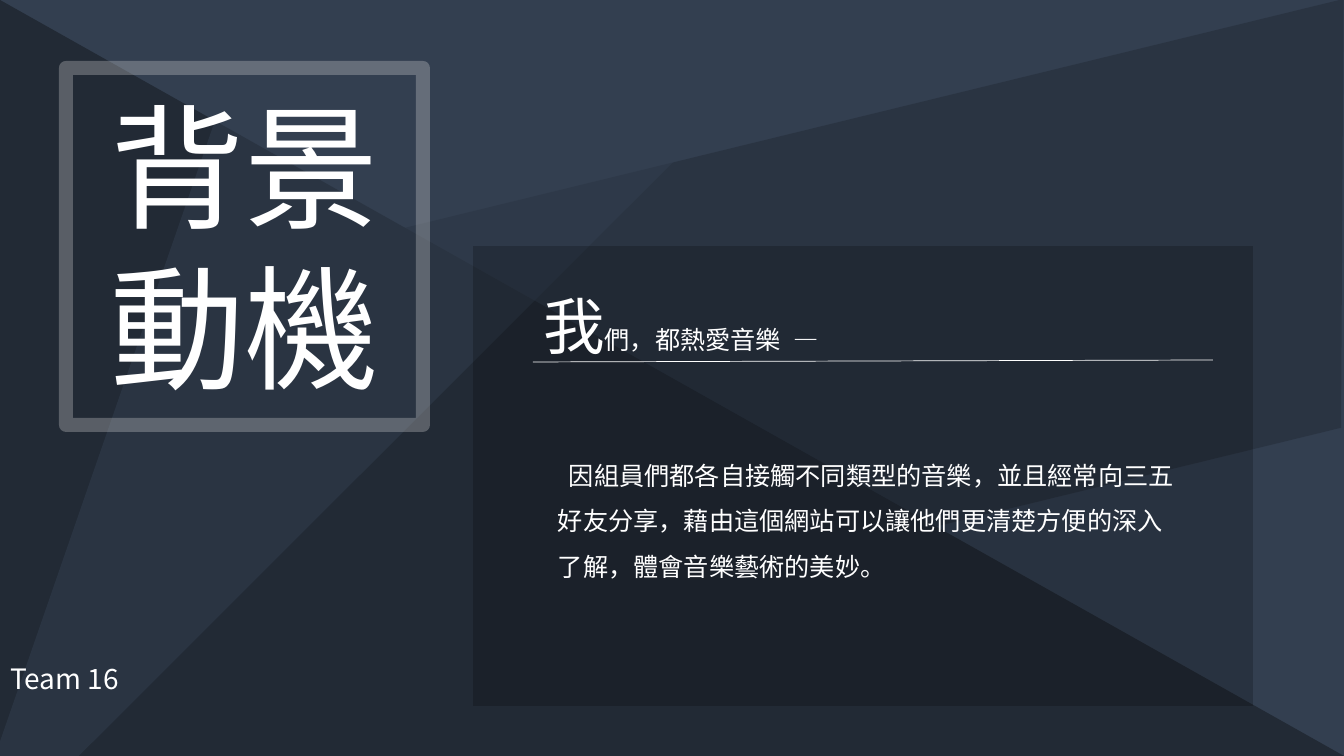
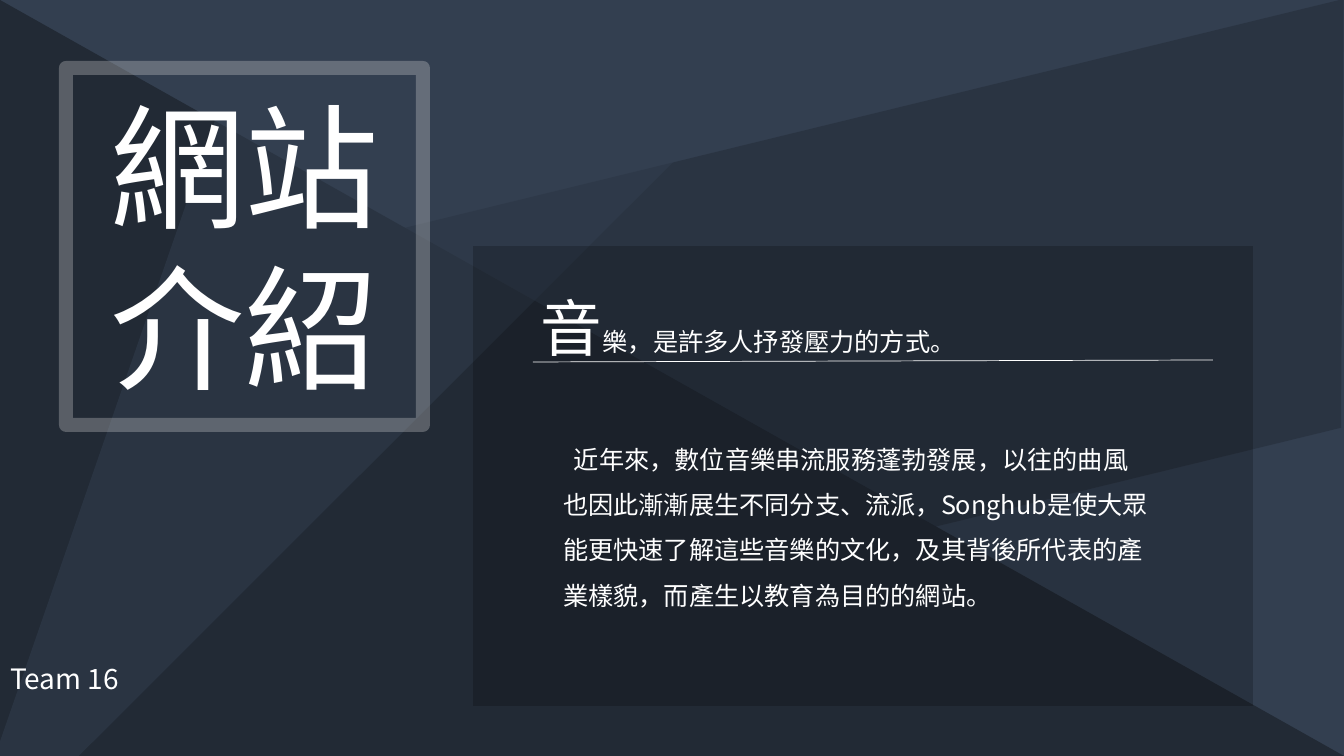
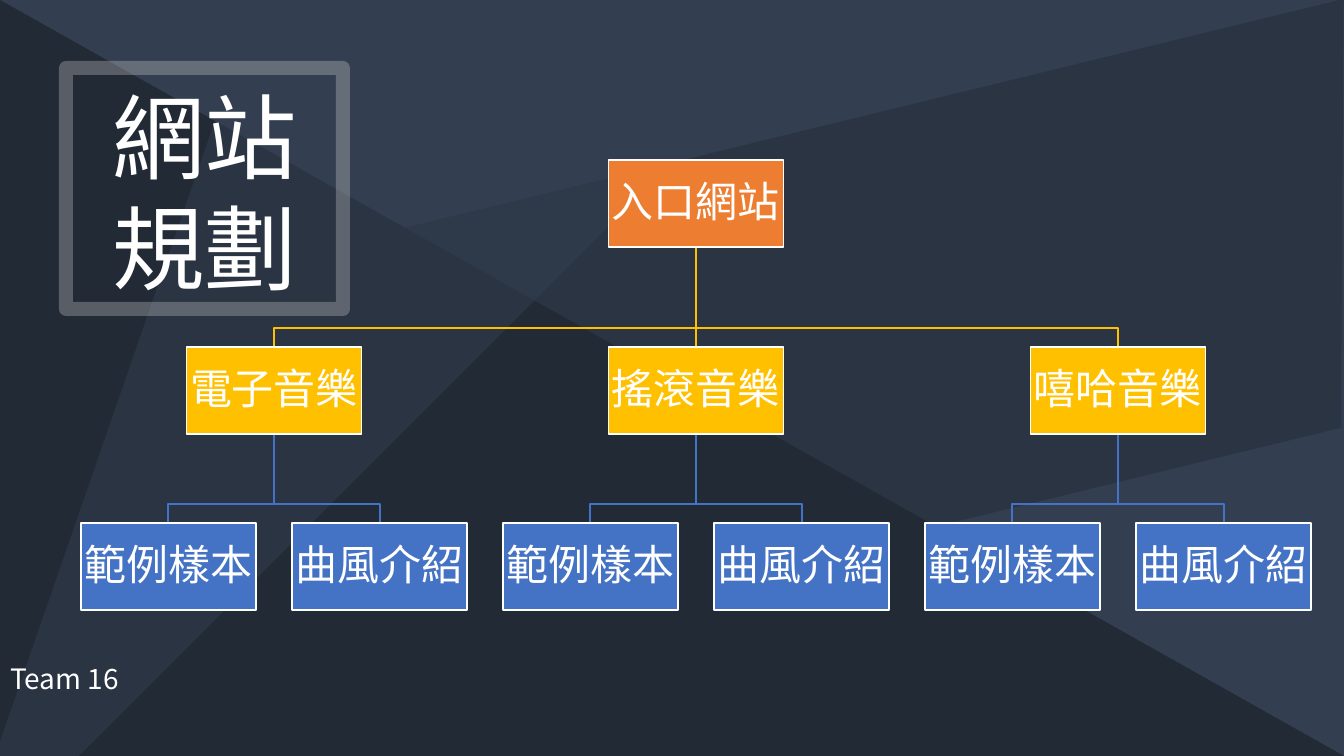
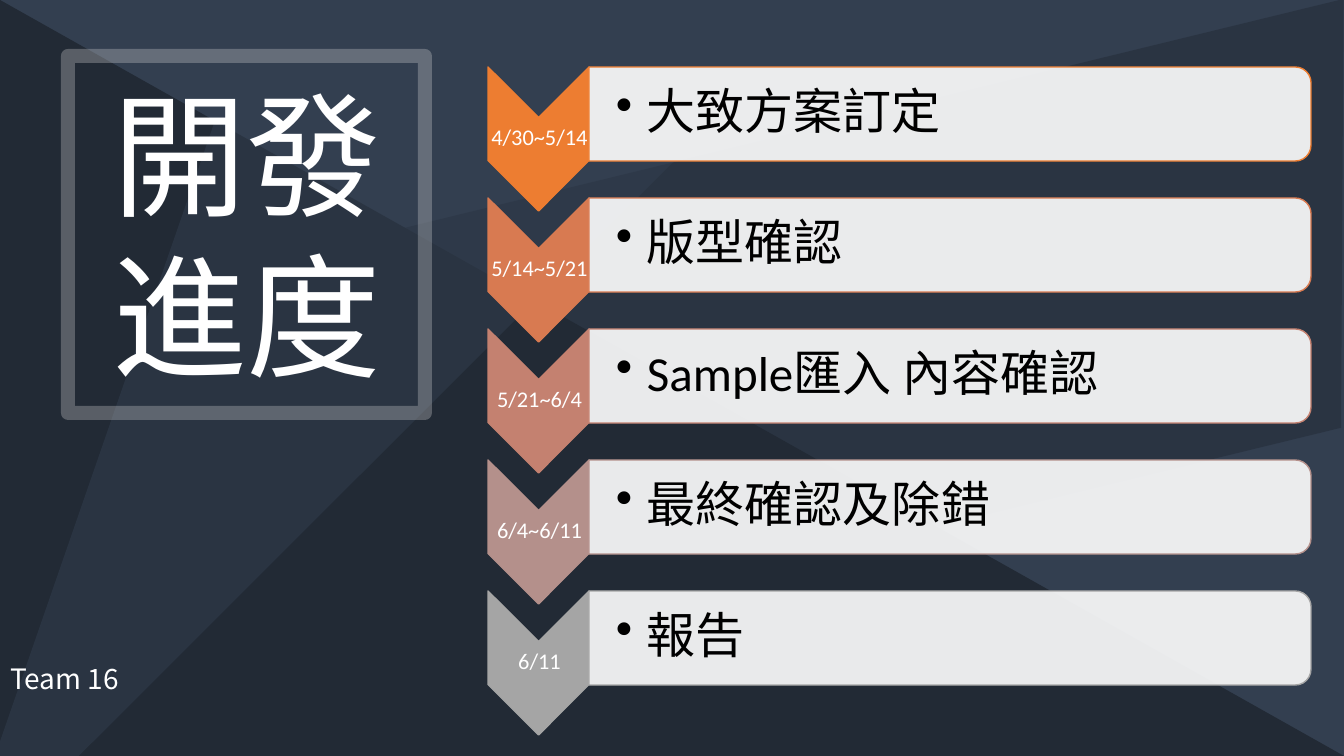
from collections import namedtuple

from lxml import etree
from pptx import Presentation
from pptx.dml.color import RGBColor
from pptx.enum.shapes import MSO_CONNECTOR, MSO_SHAPE
from pptx.enum.text import MSO_ANCHOR, PP_ALIGN
from pptx.oxml.ns import qn
from pptx.util import Emu, Pt

PIXEL = 914400 / 100.8
WIDTH, HEIGHT = 1344, 756

RECTANGLE = MSO_SHAPE.RECTANGLE
TRIANGLE = MSO_SHAPE.ISOSCELES_TRIANGLE
PARALLELOGRAM = MSO_SHAPE.PARALLELOGRAM
CHEVRON = MSO_SHAPE.CHEVRON
ROUNDED_END = MSO_SHAPE.ROUND_2_SAME_RECTANGLE
STRAIGHT = MSO_CONNECTOR.STRAIGHT
TOP, MIDDLE = MSO_ANCHOR.TOP, MSO_ANCHOR.MIDDLE
LEFT, CENTER = PP_ALIGN.LEFT, PP_ALIGN.CENTER

LATIN_FONT = "Calibri"
CHINESE_FONT = "Noto Sans CJK SC"

SLATE = RGBColor(0x33, 0x3F, 0x50)
NAVY = RGBColor(0x22, 0x2A, 0x35)
BLACK = RGBColor(0, 0, 0)
WHITE = RGBColor(0xFF, 0xFF, 0xFF)
SILVER = RGBColor(0xD9, 0xD9, 0xD9)
ORANGE = RGBColor(0xED, 0x7D, 0x31)
GOLD = RGBColor(0xFF, 0xC0, 0x00)
BLUE = RGBColor(0x44, 0x72, 0xC4)
COPPER = RGBColor(0xD8, 0x7A, 0x51)
ROSE = RGBColor(0xC4, 0x81, 0x70)
MAUVE = RGBColor(0xB4, 0x90, 0x8B)
GRAY = RGBColor(0xA5, 0xA5, 0xA5)

Box = namedtuple("Box", "left top width height")

LARGE_FRAME = Box(66, 68, 357, 357)
SMALL_FRAME = Box(66, 68, 277, 241)
SCHEDULE_FRAME = Box(68, 56, 357, 357)
PANEL = Box(473, 246, 780, 460)
SITE_MAP = Box(81, 160, 1230, 450)
SCHEDULE = Box(488, 67, 823, 668)
FOOTER = Box(0, 646, WIDTH, 50)

STEPS = [
    ("4/30~5/14", "大致方案訂定", ORANGE),
    ("5/14~5/21", "版型確認", COPPER),
    ("5/21~6/4", "Sample匯入 內容確認", ROSE),
    ("6/4~6/11", "最終確認及除錯", MAUVE),
    ("6/11", "報告", GRAY),
]


def px(length):
    return Emu(round(length * PIXEL))


def set_opacity(shape, percent):
    for color in shape.element.spPr.iter(qn("a:srgbClr")):
        etree.SubElement(color, qn("a:alpha"), val=str(percent * 1000))


def add_block(slide, kind, box, fill=None, opacity=100, line=None, line_width=1):
    shape = slide.shapes.add_shape(kind, *map(px, box))
    shape.shadow.inherit = False
    if fill is None:
        shape.fill.background()
    else:
        shape.fill.solid()
        shape.fill.fore_color.rgb = fill
    if opacity < 100:
        set_opacity(shape, opacity)
    if line is None:
        shape.line.fill.background()
    else:
        shape.line.color.rgb = line
        shape.line.width = Pt(line_width)
    return shape


def add_quarter_turn(slide, kind, box, **paint):
    center_x = box.left + box.width / 2
    center_y = box.top + box.height / 2
    unturned = Box(center_x - box.height / 2, center_y - box.width / 2, box.height, box.width)
    shape = add_block(slide, kind, unturned, **paint)
    shape.rotation = 90
    return shape


def add_line(slide, start, end, color, width):
    connector = slide.shapes.add_connector(STRAIGHT, *map(px, start + end))
    connector.line.color.rgb = color
    connector.line.width = Pt(width)
    etree.SubElement(connector.element.spPr, qn("a:effectLst"))


def format_run(run, size, color=WHITE, latin=LATIN_FONT):
    run.font.size = Pt(size)
    run.font.color.rgb = color
    run.font.name = latin
    east_asian = etree.Element(qn("a:ea"), typeface=CHINESE_FONT)
    run.font._element.find(qn("a:latin")).addnext(east_asian)


def write(shape, text, size, color=WHITE, latin=LATIN_FONT, align=LEFT, anchor=TOP,
          margins=(10, 5, 10, 5), spacing=1.0, wrap=True):
    frame = shape.text_frame
    frame.word_wrap = wrap
    frame.vertical_anchor = anchor
    frame.margin_left, frame.margin_top, frame.margin_right, frame.margin_bottom = map(px, margins)
    paragraph = frame.paragraphs[0]
    paragraph.text = text
    paragraph.alignment = align
    paragraph.line_spacing = spacing
    for run in paragraph.runs:
        format_run(run, size, color, latin)
    return paragraph


def add_text(slide, box, text, size, **style):
    return write(slide.shapes.add_textbox(*map(px, box)), text, size, **style)


def add_backdrop(slide, layout):
    facets = [
        (TRIANGLE, Box(0, 0, WIDTH, HEIGHT), NAVY, 100, 0, 0),
        (PARALLELOGRAM, Box(-72, 169, 1486, 416), NAVY, 50, 0.25, 346.3),
        (TRIANGLE, Box(119, -117, 545, 1121), SLATE, 50, 1, 199.1),
    ]
    for kind, box, color, opacity, adjustment, rotation in facets:
        facet = add_block(slide, kind, box, color, opacity)
        facet.adjustments[0] = adjustment
        facet.rotation = rotation
        layout.shapes.element.append(facet.element)


def add_footer(slide, box):
    add_text(slide, box, "Team 16", 20, latin=CHINESE_FONT, spacing=1.3)


def add_title(slide, box, text, size=96, top_margin=16):
    frame = add_block(slide, RECTANGLE, box, line=SILVER, line_width=10)
    set_opacity(frame, 30)
    write(frame, text, size, align=CENTER, margins=(10, top_margin, 10, 5))


def add_article(slide, box, initial, heading, heading_offset, body, body_box):
    add_block(slide, RECTANGLE, box, BLACK, 20)
    add_line(slide, (box.left + 60, box.top + 116), (box.left + 740, box.top + 114), WHITE, 0.5)

    heading_left, heading_top = heading_offset
    heading_box = Box(box.left + heading_left, box.top + heading_top, 665, 85)
    paragraph = add_text(slide, heading_box, initial, 44, latin=CHINESE_FONT)
    run = paragraph.add_run()
    run.text = heading
    format_run(run, 18, latin=CHINESE_FONT)

    placed_body = body_box._replace(left=box.left + body_box.left, top=box.top + body_box.top)
    paragraph = add_text(slide, placed_body, body, 18, latin=CHINESE_FONT, spacing=1.5)
    paragraph._p.get_or_add_pPr().set("indent", str(px(11)))


def add_branch(slide, parent, child, color):
    start_x = parent.left + parent.width / 2
    start_y = parent.top + parent.height
    end_x = child.left + child.width / 2
    bend_y = child.top - 19
    if start_x == end_x:
        add_line(slide, (start_x, start_y), (end_x, child.top), color, 1)
        return
    builder = slide.shapes.build_freeform(start_x, start_y, scale=PIXEL)
    builder.add_line_segments([(start_x, bend_y), (end_x, bend_y), (end_x, child.top)], close=False)
    branch = builder.convert_to_shape()
    branch.shadow.inherit = False
    branch.fill.background()
    branch.line.color.rgb = color
    branch.line.width = Pt(1)


def add_site_map(slide, box):
    node_width, node_height = 175, 87
    step = (box.width - node_width) / 5
    genre_names = ["電子音樂", "搖滾音樂", "嘻哈音樂"]
    page_names = ["範例樣本", "曲風介紹"]

    def node_box(column, top):
        return Box(box.left + column * step, box.top + top, node_width, node_height)

    root = node_box(2.5, 0)
    nodes = [(root, "入口網站", ORANGE)]
    for genre_index, genre_name in enumerate(genre_names):
        genre = node_box(2 * genre_index + 0.5, 187)
        nodes.append((genre, genre_name, GOLD))
        add_branch(slide, root, genre, GOLD)
        for page_index, page_name in enumerate(page_names):
            page = node_box(2 * genre_index + page_index, box.height - node_height)
            nodes.append((page, page_name, BLUE))
            add_branch(slide, genre, page, BLUE)

    for node, name, color in nodes:
        shape = add_block(slide, RECTANGLE, node, color, line=WHITE)
        write(shape, name, 30, align=CENTER, anchor=MIDDLE, margins=(2, 2, 2, 2),
              spacing=0.9, wrap=False)


def add_bullet(paragraph, indent):
    properties = paragraph._p.get_or_add_pPr()
    properties.set("marL", str(px(indent)))
    properties.set("indent", str(-px(indent)))
    etree.SubElement(properties, qn("a:buChar"), char="•")


def add_schedule(slide, box):
    arrow_width, arrow_height, card_height = 101, 144, 94
    pitch = (box.height - arrow_height) / (len(STEPS) - 1)
    card_left = box.left + arrow_width
    card_width = box.width - arrow_width
    for index, (dates, task, color) in enumerate(STEPS):
        top = box.top + index * pitch
        arrow = Box(box.left, top, arrow_width, arrow_height)
        add_quarter_turn(slide, CHEVRON, arrow, fill=color, line=color)
        add_text(slide, Box(box.left + 1, top + 50, arrow_width, 43), dates, 16, align=CENTER,
                 anchor=MIDDLE, margins=(1, 1, 1, 1), spacing=0.9, wrap=False)
        card = Box(card_left, top, card_width, card_height)
        add_quarter_turn(slide, ROUNDED_END, card, fill=WHITE, opacity=90, line=color)
        paragraph = add_text(slide, Box(card_left, top + 5, card_width - 4, card_height - 10),
                             task, 35, color=BLACK, anchor=MIDDLE, margins=(27, 2, 2, 2),
                             spacing=0.9)
        add_bullet(paragraph, 31)


def build_background(slide):
    add_title(slide, LARGE_FRAME, "背景動機")
    add_article(
        slide, PANEL, "我", "們，都熱愛音樂\u2002—", (60, 37),
        "因組員們都各自接觸不同類型的音樂，並且經常向三五好友分享，"
        "藉由這個網站可以讓他們更清楚方便的深入了解，體會音樂藝術的美妙。",
        Box(75, 194, 649, 143))


def build_introduction(slide):
    add_title(slide, LARGE_FRAME, "網站介紹")
    add_article(
        slide, PANEL, "音", "樂，是許多人抒發壓力的方式。", (58, 39),
        "近年來，數位音樂串流服務蓬勃發展，以往的曲風也因此漸漸展生不同分支、流派，"
        "Songhub是使大眾能更快速了解這些音樂的文化，及其背後所代表的產業樣貌，"
        "而產生以教育為目的的網站。",
        Box(80, 178, 607, 194))


def build_site_plan(slide):
    add_title(slide, SMALL_FRAME, "網站規劃", size=66, top_margin=12)
    add_site_map(slide, SITE_MAP)


def build_progress(slide):
    add_title(slide, SCHEDULE_FRAME, "開發進度")
    add_schedule(slide, SCHEDULE)


def main():
    presentation = Presentation()
    presentation.slide_width = px(WIDTH)
    presentation.slide_height = px(HEIGHT)
    layout = presentation.slide_layouts[6]
    background = presentation.slide_master.background.fill
    background.solid()
    background.fore_color.rgb = SLATE

    builders = [build_background, build_introduction, build_site_plan, build_progress]
    slides = [presentation.slides.add_slide(layout) for _ in builders]
    add_backdrop(slides[0], layout)
    for slide, build in zip(slides, builders):
        build(slide)
        add_footer(slide, FOOTER)
    presentation.save("out.pptx")


main()
